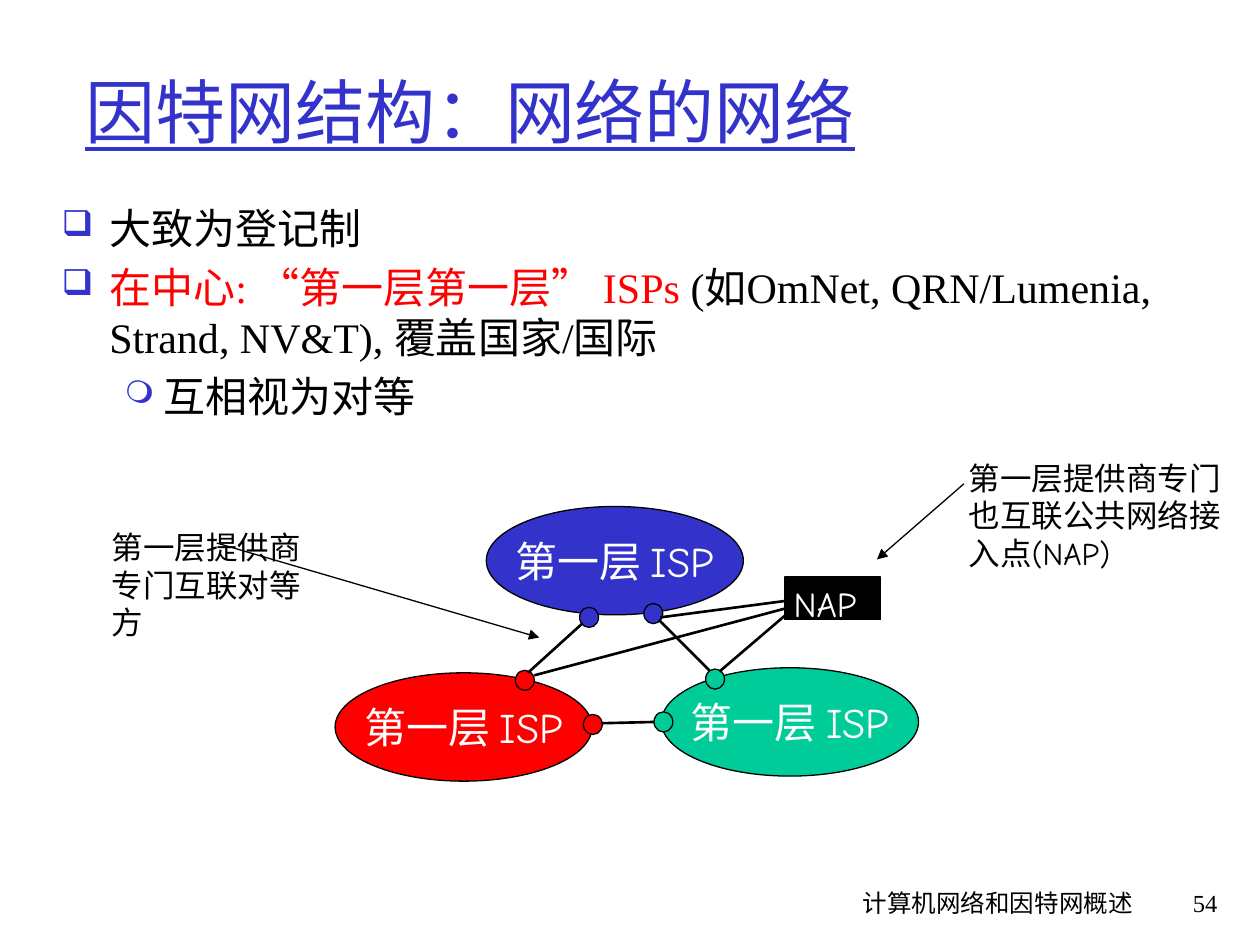
import pptx
import pptx.dml.color
import pptx.enum.shapes
import pptx.enum.text
import pptx.oxml
import pptx.oxml.ns
import pptx.util
from pptx.util import Inches

RGBColor = pptx.dml.color.RGBColor
BLUE = RGBColor(0x33, 0x33, 0xCC)
RED = RGBColor(0xFF, 0, 0)
GREEN = RGBColor(0, 0xCC, 0x99)
BLACK = RGBColor(0, 0, 0)
WHITE = RGBColor(0xFF, 0xFF, 0xFF)
SERIF, COMIC = "Times New Roman", "Comic Neue"
SHAPES = pptx.enum.shapes.MSO_SHAPE
ALIGN = pptx.enum.text.PP_ALIGN
ANCHOR = pptx.enum.text.MSO_ANCHOR


def add_run(paragraph, text, size, font=SERIF, color=BLACK):
    """Append one formatted run and return it."""
    run = paragraph.add_run()
    run.text = text
    run.font.size = pptx.util.Pt(size)
    run.font.name = font
    run.font.color.rgb = color
    return run


def add_text_frame(slide, box, wrap=True):
    """Add a text box and return its text frame."""
    frame = slide.shapes.add_textbox(*map(Inches, box)).text_frame
    frame.word_wrap = wrap
    return frame


def add_label(slide, box, text, size, font=COMIC, color=BLACK, align=ALIGN.LEFT, wrap=True):
    """Add a text box holding a single run."""
    paragraph = add_text_frame(slide, box, wrap).paragraphs[0]
    paragraph.alignment = align
    add_run(paragraph, text, size, font, color)


def add_title(slide, text):
    """Add the underlined slide title."""
    frame = add_text_frame(slide, (0.58, 0.25, 8.85, 1.25))
    frame.vertical_anchor = ANCHOR.MIDDLE
    add_run(frame.paragraphs[0], text, 40, SERIF, BLUE).font.underline = True


def set_bullet(paragraph, mark, percent, margin, hang):
    """Give a paragraph a coloured bullet and a hanging indent."""
    properties = paragraph._p.get_or_add_pPr()
    properties.set("marL", str(Inches(margin)))
    properties.set("indent", str(-Inches(hang)))
    namespace = pptx.oxml.ns.nsdecls("a")
    for element in (
        f'<a:buClr {namespace}><a:srgbClr val="{BLUE}"/></a:buClr>',
        f'<a:buSzPct {namespace} val="{percent * 1000}"/>',
        f'<a:buChar {namespace} char="{mark}"/>',
    ):
        properties.append(pptx.oxml.parse_xml(element))


def add_points(slide):
    """Add the bulleted points."""
    top_level, sub_level = ("❑", 85, 0.38, 0.38), ("❍", 75, 0.81, 0.31)
    points = [
        (top_level, [("大致为登记制", SERIF, BLACK)]),
        (top_level, [
            ("在中心: ", SERIF, RED),
            ("“", COMIC, RED),
            ("第一层第一层", SERIF, RED),
            ("” ", COMIC, RED),
            ("ISPs ", SERIF, RED),
            ("(如OmNet, QRN/Lumenia, Strand, NV&T), 覆盖国家/国际", SERIF, BLACK),
        ]),
        (sub_level, [("互相视为对等", SERIF, BLACK)]),
    ]
    frame = add_text_frame(slide, (0.39, 1.56, 9.23, 5.08))
    for index, (bullet, runs) in enumerate(points):
        paragraph = frame.add_paragraph() if index else frame.paragraphs[0]
        if index:
            paragraph.space_before = pptx.util.Pt(4.8)
        set_bullet(paragraph, *bullet)
        for text, font, color in runs:
            add_run(paragraph, text, 24, font, color)


def add_outlined(slide, kind, box, color):
    """Add a filled shape with a thin black outline."""
    shape = slide.shapes.add_shape(kind, *map(Inches, box))
    shape.shadow.inherit = False
    shape.fill.solid()
    shape.fill.fore_color.rgb = color
    shape.line.color.rgb = BLACK
    shape.line.width = pptx.util.Pt(0.75)
    return shape


def add_provider(slide, left, top, color):
    """Add a labelled tier-one provider ellipse."""
    frame = add_outlined(slide, SHAPES.OVAL, (left, top, 2.04, 0.86), color).text_frame
    frame.word_wrap = False
    frame.vertical_anchor = ANCHOR.MIDDLE
    frame.paragraphs[0].alignment = ALIGN.CENTER
    add_run(frame.paragraphs[0], "第一层 ISP", 24, COMIC, WHITE)


def add_line(slide, start, end, width=1.5, arrow=False):
    """Add a straight black line, optionally with an arrowhead at its end."""
    line = slide.shapes.add_connector(
        pptx.enum.shapes.MSO_CONNECTOR.STRAIGHT, *map(Inches, (*start, *end)))
    line.line.color.rgb = BLACK
    line.line.width = pptx.util.Pt(width)
    namespace = pptx.oxml.ns.nsdecls("a")
    if arrow:
        line.line._get_or_add_ln().append(
            pptx.oxml.parse_xml(f'<a:tailEnd {namespace} type="triangle"/>'))
    line._element.spPr.append(pptx.oxml.parse_xml(f"<a:effectLst {namespace}/>"))


def add_network(slide):
    """Draw the providers, their peering points and the access point."""
    for provider in ((2.66, 5.34, RED), (3.86, 4.02, BLUE), (5.25, 5.3, GREEN)):
        add_provider(slide, *provider)
    for left, top, color in (
        (5.6, 5.31, GREEN), (5.11, 4.79, BLUE), (4.6, 4.82, BLUE),
        (4.09, 5.32, RED), (4.63, 5.67, RED), (5.19, 5.65, GREEN),
    ):
        add_outlined(slide, SHAPES.OVAL, (left, top, 0.15, 0.16), color)
    for start, end in (
        ((4.78, 5.74), (5.19, 5.73)),
        ((5.23, 4.92), (5.63, 5.32)),
        ((4.19, 5.34), (4.62, 4.95)),
    ):
        add_line(slide, start, end)
    add_label(slide, (0.79, 4.14, 1.71, 1), "第一层提供商专门互联对等方", 18)
    add_line(slide, (1.72, 4.31), (4.28, 5.06), 0.75, arrow=True)

    add_outlined(slide, SHAPES.RECTANGLE, (6.23, 4.58, 0.76, 0.34), BLACK)
    add_label(slide, (6.2, 4.57, 0.77, 0.43), "NAP", 20, color=WHITE, wrap=False)
    for start, end in (
        ((6.26, 4.86), (5.71, 5.33)),
        ((6.23, 4.77), (5.24, 4.9)),
        ((6.23, 4.83), (4.24, 5.36)),
    ):
        add_line(slide, start, end)
    add_label(slide, (7.59, 3.59, 2.41, 1), "第一层提供商专门也互联公共网络接入点(NAP)", 18)
    add_line(slide, (7.65, 3.84), (6.96, 4.44), 0.75, arrow=True)


def main():
    """Build the slide and save it."""
    deck = pptx.Presentation()
    deck.slide_width, deck.slide_height = Inches(10), Inches(7.5)
    slide = deck.slides.add_slide(deck.slide_layouts[6])
    add_label(slide, (5.92, 7, 3.17, 0.5), "计算机网络和因特网概述", 14, align=ALIGN.RIGHT)
    add_label(slide, (9.08, 7, 0.68, 0.5), "54", 14, SERIF, align=ALIGN.RIGHT)
    add_title(slide, "因特网结构：网络的网络")
    add_points(slide)
    add_network(slide)
    deck.save("out.pptx")


if __name__ == "__main__":
    main()
